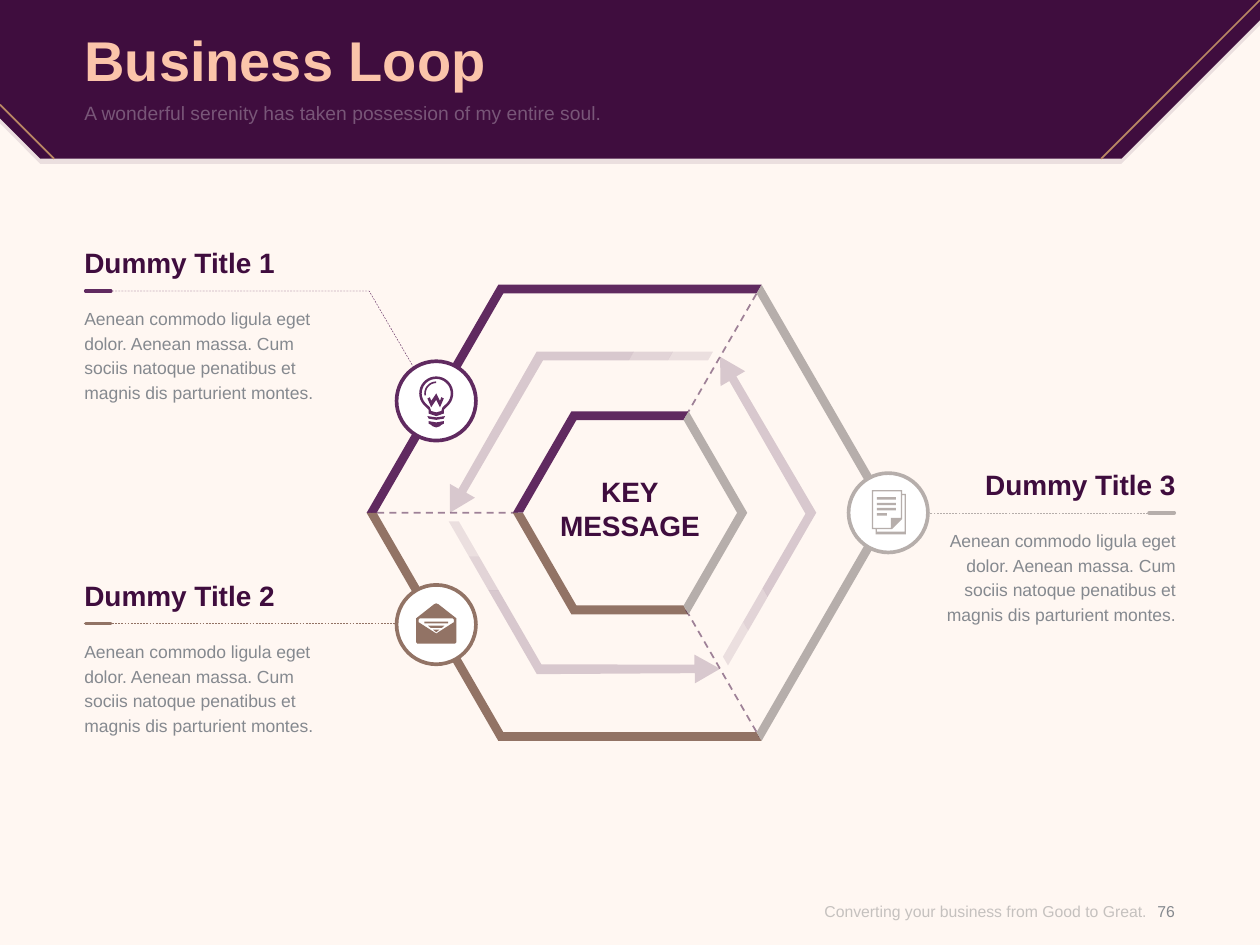
import math
from dataclasses import dataclass

import pptx
import pptx.dml.color
import pptx.enum.dml
import pptx.enum.shapes
import pptx.enum.text
import pptx.oxml.ns
import pptx.oxml.xmlchemy
import pptx.util

ALIGN = pptx.enum.text.PP_ALIGN
ANCHOR = pptx.enum.text.MSO_ANCHOR
DASH = pptx.enum.dml.MSO_LINE.DASH


@dataclass(frozen=True)
class Theme:
    font: str = "Arial"
    background: str = "FFF7F2"
    dark: str = "3F0D3E"
    purple: str = "602A60"
    brown: str = "927365"
    gray: str = "B6AEAB"
    peach: str = "FBC4AA"
    gold: str = "B98763"
    white: str = "FFFFFF"
    body_text: str = "85898F"
    footer_text: str = "8C8C8C"
    title_size: int = 32
    heading_size: int = 16
    subtitle_size: int = 11
    body_size: int = 10
    footer_size: int = 9


THEME = Theme()
WIDTH, HEIGHT = 10, 7.5
MARGIN = 0.67
COLUMN = 2.04
CENTER = (WIDTH / 2, 4.07)
BODY = ("Aenean commodo ligula eget dolor. Aenean massa. Cum sociis natoque "
        "penatibus et magnis dis parturient montes.")


def arc(radius, start, end, center=(0, 0), step=10):
    """Points on a circle, angles in degrees counter-clockwise from the right."""
    direction = 1 if end > start else -1
    return [polar(radius, angle, center)
            for angle in range(start, end + direction, direction * step)]


def polar(radius, angle, center=CENTER):
    radians = math.radians(angle)
    return (center[0] + radius * math.cos(radians), center[1] - radius * math.sin(radians))


def rotate(point, angle):
    across, down = point[0] - CENTER[0], point[1] - CENTER[1]
    return polar(math.hypot(across, down), math.degrees(math.atan2(-down, across)) + angle)


def box(left, top, right, bottom):
    return [(left, top), (right, top), (right, bottom), (left, bottom)]


# Icon contours in hundredths of an inch from the badge centre; inner contours cut holes.
BULB_CENTER = (0, -6)
BULB = [
    arc(13.5, -50, 230, BULB_CENTER) + [(-6, 7), (-6, 10), (0, 12), (6, 10), (6, 7)],
    arc(11.5, -50, 230, BULB_CENTER) + [(-5, 5), (-4, 8), (0, 9), (4, 8), (5, 5)],
    arc(9.5, 90, 190, BULB_CENTER) + arc(8.2, 190, 90, BULB_CENTER),
    [(3, 0), (0, -6), (-4, 0), (-5, -3), (-7, -2), (-4, 5), (0, -1), (3, 5), (6, -2), (4, -3)],
    [(-7, 12), (0, 13), (7, 12), (6, 14), (0, 15), (-6, 14)],
    [(-6, 16), (0, 17), (6, 16), (6, 18), (4, 19), (3, 20), (0, 21), (-3, 20), (-4, 19), (-6, 18)],
]
ENVELOPE = [
    [(-16, -5), (-2, -16), (0, -17), (2, -16), (16, -5), (16, 14), (15, 15), (-15, 15), (-16, 14)],
    [(14, -2), (0, 7), (-14, -2), (-14, -4), (-13, -5), (13, -5), (14, -4)],
    box(-9.5, -2.5, 9.5, -1),
    [(-6.5, 0.8), (6.5, 0.8), (4.5, 2.5), (-4.5, 2.5)],
    [(-2.5, 4), (2.5, 4), (0, 6)],
]
DOCUMENT = [
    [(11, -15), (11, -18), (-13, -18), (-13, 13), (-10, 13), (-10, 17), (14, 17), (14, -15)],
    [(-12, 12), (-12, -17), (10, -17), (10, 4), (2, 4), (2, 12)],
    [(13, 15), (-9, 15), (-9, 13), (3, 13), (11, 5), (11, -14), (13, -14)],
    box(-9, -12.5, 6, -10.5), box(-9, -8, 6, -6), box(-9, -4, 6, -2), box(-9, 0.2, -1, 2.2),
]


def add_element(parent, tag, **attributes):
    child = pptx.oxml.xmlchemy.OxmlElement(tag)
    for name, value in attributes.items():
        child.set(name, value)
    parent.append(child)


def paint(fill, color, alpha=100):
    """Make a fill solid, with alpha in percent."""
    fill.solid()
    fill.fore_color.rgb = pptx.dml.color.RGBColor.from_string(color)
    if alpha < 100:
        for node in fill.fore_color._xFill.findall(pptx.oxml.ns.qn("a:srgbClr")):
            add_element(node, "a:alpha", val=str(alpha * 1000))


def style_line(shape, color, width, dash=None, alpha=100, cap=None):
    paint(shape.line.fill, color, alpha)
    shape.line.width = pptx.util.Pt(width)
    if dash:
        shape.line.dash_style = dash
    if cap:
        shape.line._ln.set("cap", cap)


def add_line(slide, start, end, color, width, **style):
    points = [pptx.util.Inches(value) for value in (*start, *end)]
    connector = slide.shapes.add_connector(pptx.enum.shapes.MSO_CONNECTOR.STRAIGHT, *points)
    add_element(connector.element.spPr, "a:effectLst")
    style_line(connector, color, width, **style)


def add_outline(slide, contours, closed=True):
    scaled = [[(pptx.util.Inches(x), pptx.util.Inches(y)) for x, y in contour]
              for contour in contours]
    builder = slide.shapes.build_freeform(*scaled[0][0])
    for number, contour in enumerate(scaled):
        if number:
            builder.move_to(*contour[0])
        builder.add_line_segments(contour[1:], close=closed)
    shape = builder.convert_to_shape()
    shape.shadow.inherit = False
    return shape


def add_polygon(slide, contours, color, alpha=100):
    shape = add_outline(slide, contours)
    paint(shape.fill, color, alpha)
    shape.line.fill.background()


def place(shape, left, top, width, height):
    shape.left, shape.top, shape.width, shape.height = map(
        pptx.util.Inches, (left, top, width, height))


def write_text(shape, text, size, color, bold=False, align=ALIGN.LEFT,
               anchor=ANCHOR.TOP, alpha=100, spacing=None):
    frame = shape.text_frame
    frame.text = text
    frame.word_wrap = True
    frame.auto_size = pptx.enum.text.MSO_AUTO_SIZE.NONE
    frame.vertical_anchor = anchor
    frame.margin_left = frame.margin_right = frame.margin_top = frame.margin_bottom = 0
    for paragraph in frame.paragraphs:
        paragraph.alignment = align
        paragraph.space_before = pptx.util.Pt(0)
        if spacing:
            paragraph.line_spacing = pptx.util.Pt(spacing)
        font = paragraph.runs[0].font
        font.name, font.size, font.bold = THEME.font, pptx.util.Pt(size), bold
        paint(font.fill, color, alpha)


def add_text(slide, bounds, text, size, color, **style):
    shape = slide.shapes.add_textbox(0, 0, 0, 0)
    place(shape, *bounds)
    write_text(shape, text, size, color, **style)


def add_header(slide):
    depth = 1.26
    banner = [(0, 0), (WIDTH, 0), (WIDTH, 0.16), (8.9, depth), (0.32, depth), (0, 0.94)]
    add_polygon(slide, [[(x, y + 0.04) for x, y in banner]], THEME.dark, alpha=10)
    add_polygon(slide, [banner], THEME.dark)
    add_line(slide, (WIDTH, 0), (WIDTH - depth, depth), THEME.gold, 1)
    add_line(slide, (0, 0.83), (0.43, depth), THEME.gold, 1)

    title, subtitle = slide.shapes.title, slide.placeholders[1]
    place(title, MARGIN, 0.14, WIDTH - 2 * MARGIN, 0.65)
    write_text(title, "Business Loop", THEME.title_size, THEME.peach,
               bold=True, anchor=ANCHOR.MIDDLE)
    place(subtitle, MARGIN, 0.8, WIDTH - 2 * MARGIN, 0.39)
    write_text(subtitle, "A wonderful serenity has taken possession of my entire soul.",
               THEME.subtitle_size, THEME.white, alpha=30)
    properties = subtitle.text_frame.paragraphs[0]._p.get_or_add_pPr()
    properties.set("marL", "0")
    properties.set("indent", "0")
    add_element(properties, "a:buNone")
    for placeholder in (title, subtitle):  # bring in front of the banner
        placeholder.element.getparent().append(placeholder.element)


def add_hexagon_third(slide, start, color):
    """Draw two sides of both hexagon rings, from the vertex at the start angle."""
    angles = (start, start + 60, start + 120)
    add_line(slide, polar(0.89, start), polar(2.05, start), THEME.dark, 1, dash=DASH, alpha=50)
    for outer, inner in ((2.09, 2.01), (0.93, 0.85)):
        ring = [polar(outer, angle) for angle in angles]
        ring += [polar(inner, angle) for angle in reversed(angles)]
        add_polygon(slide, [ring], color)


def add_loop_arrow(slide, angle):
    """Draw the upper-left arrow with its fading tail, turned about the centre."""
    top, bottom, slant = 2.79, 2.86, 0.04
    cuts = (5.03, 5.34, 5.66)
    head = [(cuts[0] - slant, bottom), (4.31, bottom), (3.7, 3.91), (3.77, 3.95), (3.57, 4.07),
            (3.57, 3.84), (3.64, 3.88), (4.26, top), (cuts[0], top)]
    tails = [[(left, top), (right, top), (right - slant, bottom), (left - slant, bottom)]
             for left, right in zip(cuts, cuts[1:])]
    for points, alpha in zip([head, *tails], (20, 15, 10)):
        add_polygon(slide, [[rotate(point, angle) for point in points]], THEME.dark, alpha)


def add_badge(slide, center, icon, color):
    diameter = 0.63
    circle = slide.shapes.add_shape(pptx.enum.shapes.MSO_SHAPE.OVAL, 0, 0, 0, 0)
    place(circle, center[0] - diameter / 2, center[1] - diameter / 2, diameter, diameter)
    circle.shadow.inherit = False
    paint(circle.fill, THEME.white)
    style_line(circle, color, 2.1)
    add_polygon(slide, [[(center[0] + x / 100, center[1] + y / 100) for x, y in contour]
                        for contour in icon], color)


def add_callout(slide, number, rule, leader, color, right=False):
    left = WIDTH - MARGIN - COLUMN if right else MARGIN
    align = ALIGN.RIGHT if right else ALIGN.LEFT
    if len(leader) == 2:
        add_line(slide, *leader, color, 0.25, dash=DASH)
    else:
        bent = add_outline(slide, [leader], closed=False)
        bent.fill.background()
        style_line(bent, color, 0.25, dash=DASH)
    add_text(slide, (left, rule - 0.36, COLUMN, 0.27), f"Dummy Title {number}",
             THEME.heading_size, THEME.dark, bold=True, align=align)
    add_text(slide, (left, rule + 0.11, COLUMN, 0.79), BODY,
             THEME.body_size, THEME.body_text, align=align, spacing=14)
    accent = 9.12 if right else 0.68
    add_line(slide, (accent, rule), (accent + 0.2, rule), color, 2, cap="rnd")


def main():
    presentation = pptx.Presentation()
    presentation.slide_width = pptx.util.Inches(WIDTH)
    presentation.slide_height = pptx.util.Inches(HEIGHT)
    slide = presentation.slides.add_slide(presentation.slide_layouts[1])
    paint(slide.background.fill, THEME.background)
    add_header(slide)

    for start, color in ((60, THEME.purple), (180, THEME.brown), (300, THEME.gray)):
        add_hexagon_third(slide, start, color)
        add_loop_arrow(slide, start - 60)
    add_text(slide, (4.25, 3.77, 1.5, 0.54), "KEY\nMESSAGE", THEME.heading_size, THEME.dark,
             bold=True, align=ALIGN.CENTER)

    add_callout(slide, 1, 2.31, [(0.84, 2.31), (2.93, 2.31), (3.43, 3.17)], THEME.purple)
    add_callout(slide, 2, 4.95, [(0.84, 4.95), (3.47, 4.95)], THEME.brown)
    add_callout(slide, 3, 4.07, [(9.16, 4.07), (7.07, 4.07)], THEME.gray, right=True)
    side_middle = 2.05 * math.cos(math.radians(30))
    add_badge(slide, polar(side_middle, 150), BULB, THEME.purple)
    add_badge(slide, polar(side_middle, 210), ENVELOPE, THEME.brown)
    add_badge(slide, polar(2.05, 0), DOCUMENT, THEME.gray)

    add_text(slide, (6.04, 6.96, 3.06, 0.54), "Converting your business from Good to Great.",
             THEME.footer_size, THEME.footer_text, alpha=50, align=ALIGN.RIGHT, anchor=ANCHOR.MIDDLE)
    add_text(slide, (9.02, 6.96, 0.47, 0.54), "76", THEME.footer_size, THEME.body_text,
             align=ALIGN.CENTER, anchor=ANCHOR.MIDDLE)
    presentation.save("out.pptx")


if __name__ == "__main__":
    main()
